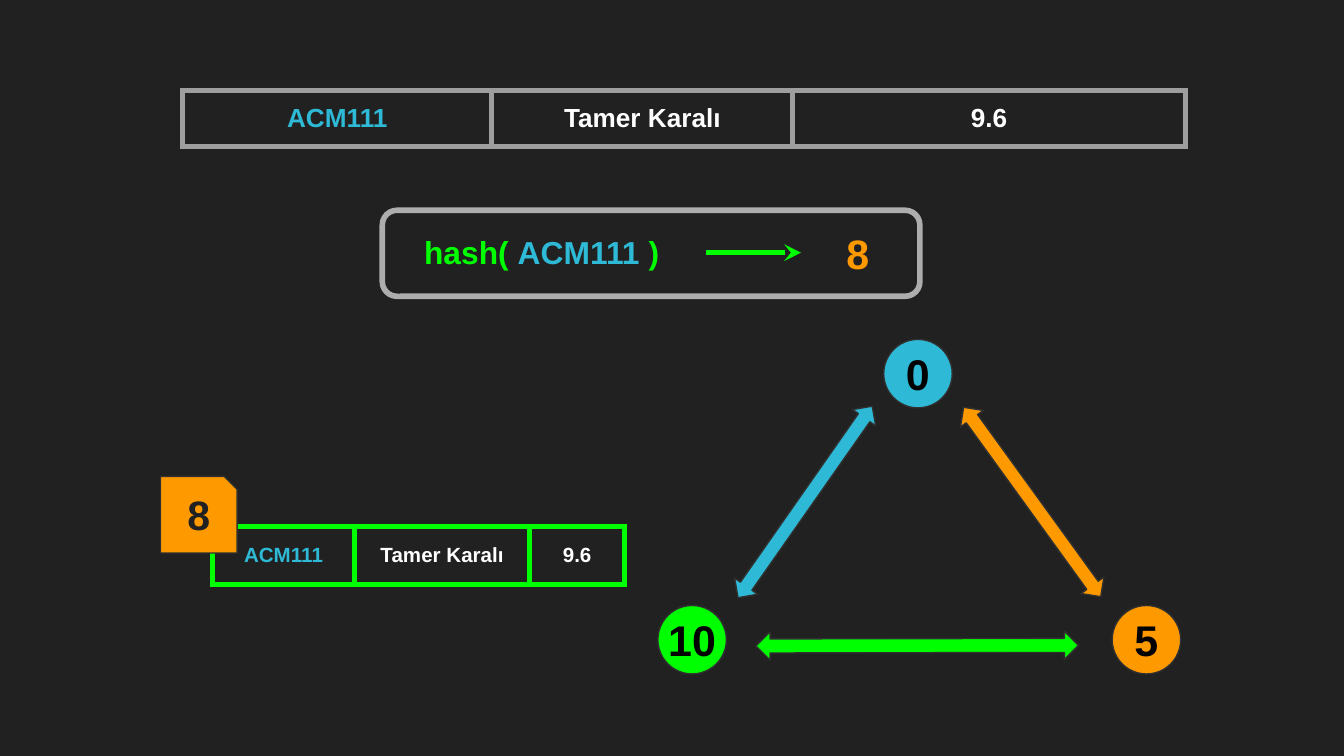
from lxml import etree
from pptx import Presentation
from pptx import util as u
from pptx.dml.color import RGBColor
from pptx.enum import shapes, text
from pptx.oxml import ns

THEME = {
    "font": "Arial",
    "back": "212121", "edge": "303030", "grey": "9E9E9E", "frame": "ADADAD",
    "blue": "2EBAD6", "green": "00FF00", "orange": "FF9900",
    "white": "FFFFFF", "black": "000000",
    "record": 14, "entry": 11, "call": 17, "key": 22, "node": 23,
}
RGB = {name: RGBColor.from_string(value) for name, value in THEME.items()
       if isinstance(value, str) and name != "font"}
FORM = shapes.MSO_SHAPE

# A 16:9 slide
deck = Presentation()
deck.slide_width = u.Inches(10)
deck.slide_height = deck.slide_width * 9 // 16
slide = deck.slides.add_slide(deck.slide_layouts[6])
slide.background.fill.solid()
slide.background.fill.fore_color.rgb = RGB["back"]

# The grid has 100 square units across the slide
UNIT = deck.slide_width // 100


def write(frame, runs, size, align=text.PP_ALIGN.CENTER):
    """Fill a text frame or cell with one line of (words, colour) runs."""
    margins = {"margin_" + side: UNIT for side in ("left", "right", "top", "bottom")}
    for name, value in margins.items():
        setattr(frame, name, value)
    line = getattr(frame, "text_frame", frame).paragraphs[0]
    line.alignment = align
    for words, colour in runs:
        run = line.add_run()
        run.text = words
        run.font.color.rgb = RGB[colour]
        for name, value in {"name": THEME["font"], "size": u.Pt(THEME[size]), "bold": True}.items():
            setattr(run.font, name, value)


def draw(form, place, fill, edge="edge", weight=0.75, turn=0, bend=()):
    """Add a preset shape, or a text box when form is None; place is in grid units."""
    area = [round(length * UNIT) for length in place]
    if form is None:
        box = slide.shapes.add_textbox(*area)
        box.text_frame.word_wrap = True
        return box.text_frame
    shape = slide.shapes.add_shape(form, *area)
    shape.shadow.inherit = False
    shape.rotation = turn
    for index, value in enumerate(bend):
        shape.adjustments[index] = value
    if fill:
        shape.fill.solid()
        shape.fill.fore_color.rgb = RGB[fill]
    else:
        shape.fill.background()
    shape.line.color.rgb = RGB[edge]
    shape.line.width = u.Pt(weight)


# Full record on top, stored entry at the lower left
record = [("ACM111", "blue"), ("Tamer Karalı", "white"), ("9.6", "white")]
tables = [
    (13.6, 6.7, (23, 22.4, 29.2), 4.2, "grey", "record"),
    (15.8, 39.2, (10.6, 13, 7.1), 4.3, "green", "entry"),
]
for left, top, widths, height, border, size in tables:
    area = [round(length * UNIT) for length in (left, top, sum(widths), height)]
    grid = slide.shapes.add_table(1, len(widths), *area).table
    for flag in ("first_row", "horz_banding"):
        setattr(grid, flag, False)
    for index, (width, field) in enumerate(zip(widths, record)):
        grid.columns[index].width = round(width * UNIT)
        cell = grid.cell(0, index)
        cell.vertical_anchor = text.MSO_ANCHOR.MIDDLE
        cell.fill.background()
        write(cell, [field], size)
        props = cell._tc.get_or_add_tcPr()
        for order, side in enumerate(("lnL", "lnR", "lnT", "lnB")):
            edge = etree.Element(ns.qn("a:" + side), w=str(u.Pt(3)))
            paint = etree.SubElement(edge, ns.qn("a:solidFill"))
            etree.SubElement(paint, ns.qn("a:srgbClr"), val=THEME[border])
            props.insert(order, edge)

# Hash call, its arrow and its result, in a rounded frame
call = draw(None, (29.1, 16.35, 22.4, 4.9), None)
write(call, [("hash( ", "green"), ("ACM111 ", "blue"), (")", "green")], "call")
result = draw(None, (62, 16, 5.7, 5.7), None)
write(result, [("8", "orange")], "key", text.PP_ALIGN.LEFT)
draw(FORM.ROUNDED_RECTANGLE, (28.45, 15.65, 40, 6.4), None, "frame", 3, bend=[0.17])

ends = [round(length * UNIT) for length in (52.5, 18.8, 59.6, 18.8)]
yields = slide.shapes.add_connector(shapes.MSO_CONNECTOR.STRAIGHT, *ends)
yields.line.color.rgb = RGB["green"]
yields.line.width = u.Pt(3)
etree.SubElement(yields.line._get_or_add_ln(), ns.qn("a:tailEnd"), type="stealth")
etree.SubElement(yields._element.spPr, ns.qn("a:effectLst"))

# Two-way links between the nodes: centre, length, angle
links = [
    (59.9, 37.35, 17.4, 125, "blue"),
    (76.8, 37.35, 17.4, 234.1, "orange"),
    (68.25, 48.05, 24, 359.9, "green"),
]
THICK = 2.1
for x, y, length, angle, colour in links:
    draw(FORM.LEFT_RIGHT_ARROW, (x - length / 2, y - THICK / 2, length, THICK),
         colour, turn=angle, bend=[0.5, 0.5])

# Nodes of the ring: centre, label
nodes = [
    (51.5, 47.6, "10", "green"),
    (68.3, 27.8, "0", "blue"),
    (85.3, 47.6, "5", "orange"),
]
DISC, LABEL_W, LABEL_H = 5.1, 7.4, 5.9
for x, y, number, colour in nodes:
    draw(FORM.OVAL, (x - DISC / 2, y - DISC / 2, DISC, DISC), colour)
    label = draw(None, (x - LABEL_W / 2, y - LABEL_H / 2, LABEL_W, LABEL_H), None)
    write(label, [(number, "black")], "node")

# Key tag on the stored entry
tag = (11.95, 35.45, 5.7, 5.7)
draw(FORM.SNIP_1_RECTANGLE, tag, "orange", bend=[0.17])
write(draw(None, tag, None), [("8", "back")], "key")

deck.save("out.pptx")
